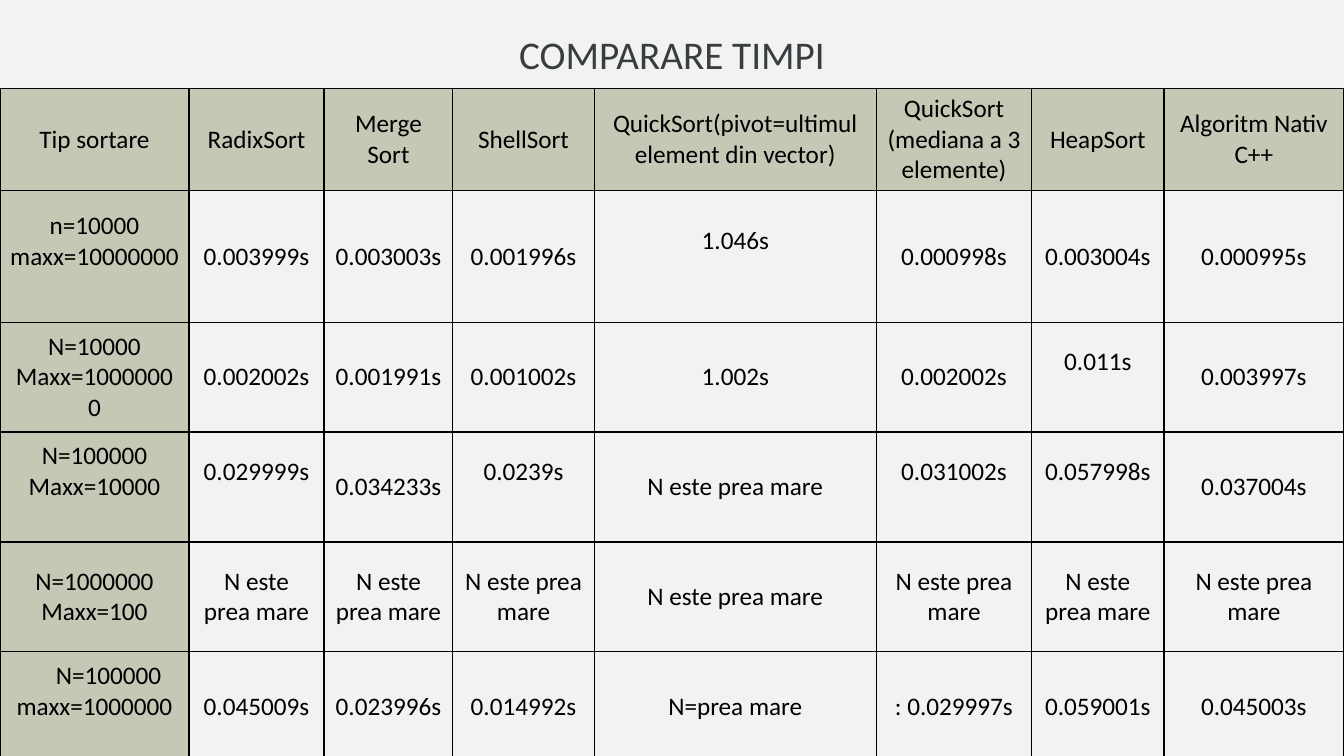
"""Build the slide that compares sorting times in a table."""
from lxml.etree import SubElement as Sub
from pptx import Presentation
from pptx.dml.color import RGBColor as Rgb
from pptx.enum.text import MSO_ANCHOR as Anchor, PP_ALIGN as Align
from pptx.oxml.ns import qn
from pptx.util import Pt

HUES = {"back": "F2F2F2", "head": "C4C8B5", "text": "000000", "title": "383E40"}
FONT = "Calibri"
BIG = "N este prea mare"
ROWS = [
    ["Tip sortare", "RadixSort", "Merge Sort", "ShellSort",
     "QuickSort(pivot=ultimul element din vector)",
     "QuickSort\n(mediana a 3 elemente)", "HeapSort", "Algoritm Nativ C++"],
    ["n=10000\nmaxx=10000000", "0.003999s", "0.003003s", "0.001996s",
     "1.046s", "0.000998s", "0.003004s", "0.000995s"],
    ["N=10000\nMaxx=10000000", "0.002002s", "0.001991s", "0.001002s",
     "1.002s", "0.002002s", "0.011s", "0.003997s"],
    ["N=100000\nMaxx=10000", "0.029999s", "0.034233s", "0.0239s",
     BIG, "0.031002s", "0.057998s", "0.037004s"],
    ["N=1000000\nMaxx=100"] + [BIG] * 7,
    ["N=100000\nmaxx=1000000", "0.045009s", "0.023996s", "0.014992s",
     "N=prea mare", ": 0.029997s", "0.059001s", "0.045003s"],
]
RAISED = {(1, 0), (1, 4), (2, 6), (3, 0), (3, 1), (3, 3), (3, 5), (3, 6), (5, 0)}
WIDTHS = [135, 96.5, 92, 101, 201.5, 111, 94.5, 128.5]
HEIGHTS = [73, 94] + [78.5] * 4
LINE = 22
PAD = 3.6


def style(frame, size, hue):
    """Centre the text and set its font."""
    for para in frame.paragraphs:
        para.alignment = Align.CENTER
        for run in para.runs:
            run.font.size = Pt(size)
            run.font.name = FONT
            run.font.color.rgb = Rgb.from_string(HUES[hue])


def frame_cell(cell):
    """Draw a thin line on each side of a cell."""
    props = cell._tc.get_or_add_tcPr()
    for side in ("lnL", "lnR", "lnT", "lnB"):
        line = Sub(props, qn("a:" + side), w=str(Pt(1)))
        Sub(Sub(line, qn("a:solidFill")), qn("a:srgbClr"), val=HUES["text"])


deck = Presentation()
deck.slide_width, deck.slide_height = Pt(960), Pt(540)
slide = deck.slides.add_slide(deck.slide_layouts[5])
fill = slide.background.fill
fill.solid()
fill.fore_color.rgb = Rgb.from_string(HUES["back"])

title = slide.shapes.title
title.left, title.top, title.width, title.height = Pt(133), Pt(18), Pt(694), Pt(41)
title.text_frame.text = "COMPARARE TIMPI"
style(title.text_frame, 28, "title")

grid = slide.shapes.add_table(len(ROWS), len(WIDTHS), Pt(0), Pt(63),
                              Pt(sum(WIDTHS)), Pt(sum(HEIGHTS))).table
grid.first_row = grid.horz_banding = False
for col, width in zip(grid.columns, WIDTHS):
    col.width = Pt(width)
for row, height in zip(grid.rows, HEIGHTS):
    row.height = Pt(height)

for r, texts in enumerate(ROWS):
    for c, text in enumerate(texts):
        cell = grid.cell(r, c)
        cell.text_frame.text = text
        style(cell.text_frame, 18, "text")
        cell.vertical_anchor = Anchor.MIDDLE
        cell.margin_bottom = Pt(PAD + LINE * ((r, c) in RAISED))
        frame_cell(cell)
        if r == 0 or c == 0:
            cell.fill.solid()
            cell.fill.fore_color.rgb = Rgb.from_string(HUES["head"])
        else:
            cell.fill.background()

last = grid.cell(len(ROWS) - 1, 0).text_frame.paragraphs[0]
last._p.get_or_add_pPr().set("marL", str(Pt(20)))

deck.save("out.pptx")
